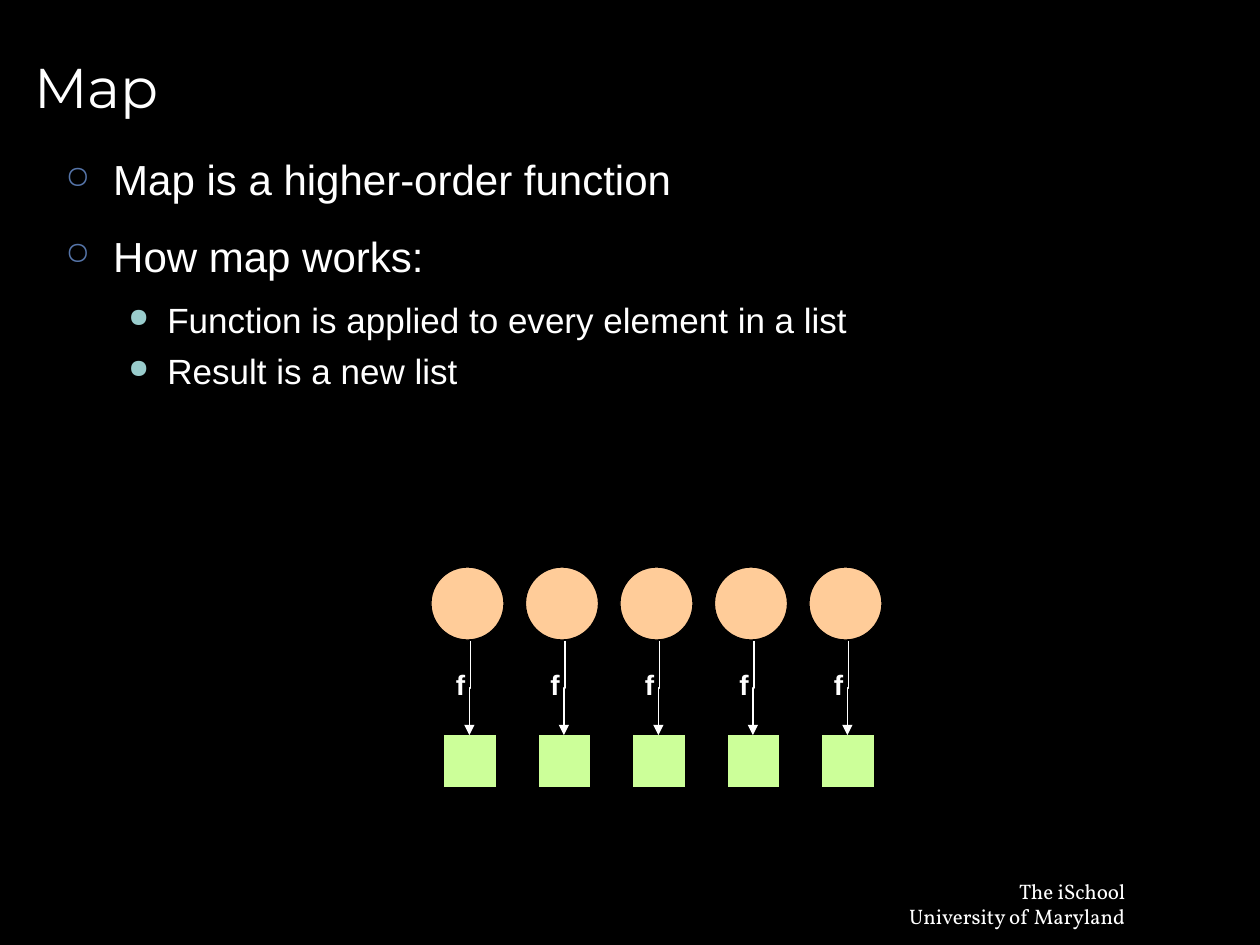
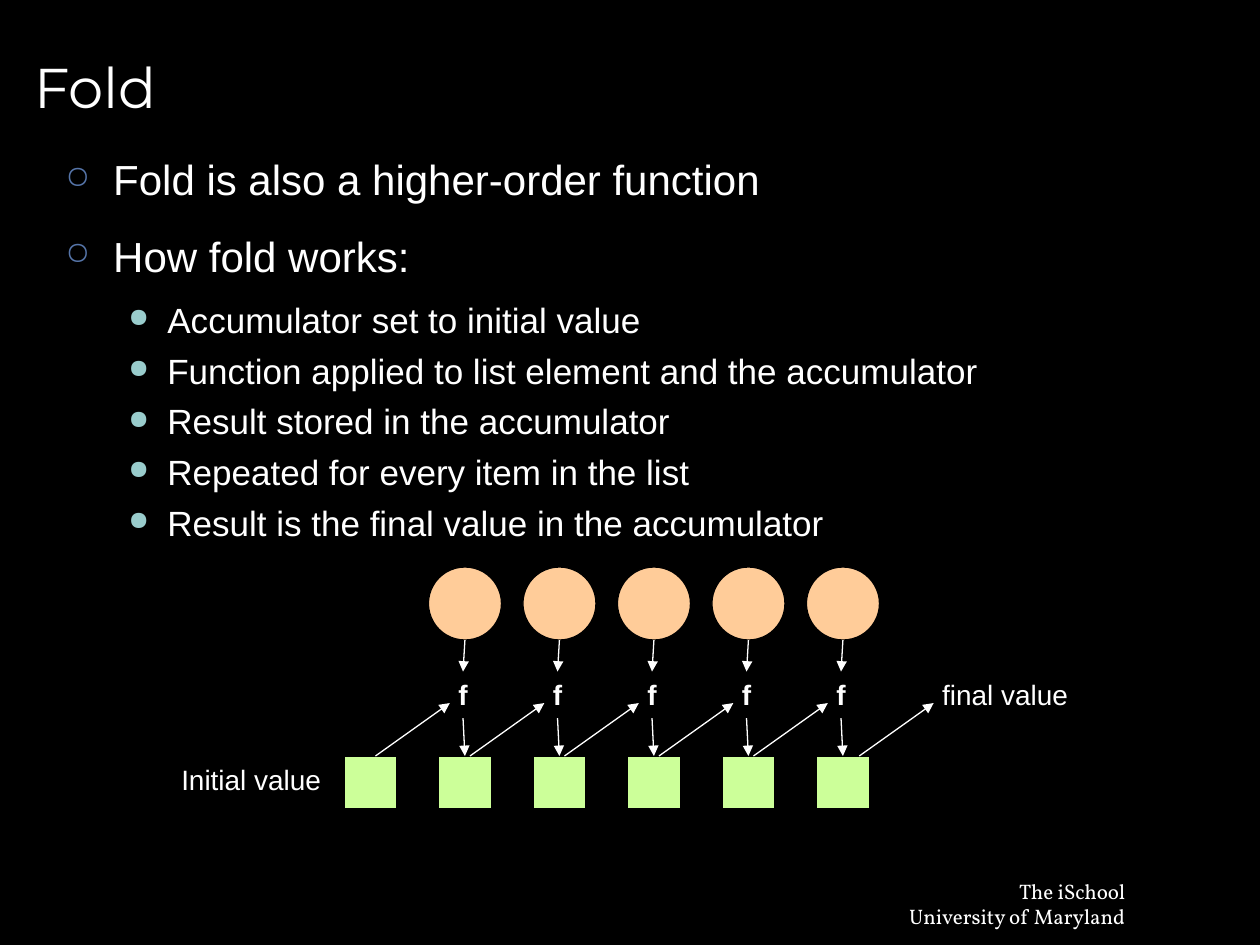
from dataclasses import dataclass

from lxml.etree import SubElement
from pptx import Presentation
from pptx.dml.color import RGBColor
from pptx.enum.shapes import MSO_CONNECTOR as Connector, MSO_SHAPE as Preset
from pptx.enum.text import MSO_ANCHOR as Anchor, MSO_AUTO_SIZE as AutoSize, PP_ALIGN as Align
from pptx.oxml.ns import qn
from pptx.util import Inches, Pt

BLACK = RGBColor(0x00, 0x00, 0x00)
WHITE = RGBColor(0xFF, 0xFF, 0xFF)
PEACH = RGBColor(0xFF, 0xCC, 0x99)
LIME = RGBColor(0xCC, 0xFF, 0x99)
BLUE = RGBColor(0x56, 0x75, 0xA9)
TEAL = RGBColor(0x99, 0xCC, 0xCC)

TITLE_FONT = "Montserrat"
BODY_FONT = "Arial"
FOOTER_FONT = "Vollkorn"

ITEM_COUNT = 5
STEP = 0.75
CIRCLE_TOP = 4.5
CIRCLE_SIZE = 0.58
CIRCLE_BOTTOM = CIRCLE_TOP + CIRCLE_SIZE
SQUARE_SIZE = 0.42
MAP_SQUARE_TOP = 5.83
FOLD_SQUARE_TOP = 6
FOLD_LABEL_TOP = 5.33
LABEL_WIDTH = 0.27
LABEL_HEIGHT = 0.37


@dataclass(frozen=True)
class BulletStyle:
    symbol: str
    color: RGBColor
    size: int
    margin: float
    hanging: float
    spacing: float


@dataclass(frozen=True)
class Bullet:
    text: str
    level: int = 0


BULLET_STYLES = (
    BulletStyle("○", BLUE, 24, 0.38, 0.38, 7.5),
    BulletStyle("●", TEAL, 20, 0.81, 0.31, 2.5),
)

MAP_BULLETS = (
    Bullet("Map is a higher-order function"),
    Bullet("How map works:"),
    Bullet("Function is applied to every element in a list", 1),
    Bullet("Result is a new list", 1),
)

FOLD_BULLETS = (
    Bullet("Fold is also a higher-order function"),
    Bullet("How fold works:"),
    Bullet("Accumulator set to initial value", 1),
    Bullet("Function applied to list element and the accumulator", 1),
    Bullet("Result stored in the accumulator", 1),
    Bullet("Repeated for every item in the list", 1),
    Bullet("Result is the final value in the accumulator", 1),
)


def set_font(paragraph, name: str, size: int, bold: bool = False) -> None:
    font = paragraph.font
    font.name, font.size, font.bold = name, Pt(size), bold
    font.color.rgb = WHITE


def add_text_box(page, left: float, top: float, width: float, height: float):
    return page.shapes.add_textbox(Inches(left), Inches(top), Inches(width), Inches(height))


def add_label(page, text: str, left: float, top: float, width: float, bold: bool = False):
    box = add_text_box(page, left, top, width, LABEL_HEIGHT)
    box.text_frame.word_wrap = False
    box.text_frame.auto_size = AutoSize.SHAPE_TO_FIT_TEXT
    paragraph = box.text_frame.paragraphs[0]
    paragraph.text = text
    set_font(paragraph, BODY_FONT, 16, bold)
    return box


def add_function(page, left: float, top: float):
    return add_label(page, "f", left, top, LABEL_WIDTH, bold=True)


def add_node(page, preset: Preset, left: float, top: float, size: float, fill: RGBColor):
    node = page.shapes.add_shape(preset, Inches(left), Inches(top), Inches(size), Inches(size))
    node.shadow.inherit = False
    node.fill.solid()
    node.fill.fore_color.rgb = fill
    node.line.color.rgb = BLACK
    node.line.width = Pt(0.75)
    return node


def add_circle(page, left: float):
    return add_node(page, Preset.OVAL, left, CIRCLE_TOP, CIRCLE_SIZE, PEACH)


def add_square(page, left: float, top: float):
    return add_node(page, Preset.RECTANGLE, left, top, SQUARE_SIZE, LIME)


def add_arrow(page, start: tuple[float, float], end: tuple[float, float],
              kind: Connector = Connector.STRAIGHT):
    arrow = page.shapes.add_connector(kind, *map(Inches, (*start, *end)))
    arrow.line.color.rgb = WHITE
    arrow.line.width = Pt(0.75)
    properties = arrow._element.spPr
    SubElement(properties.find(qn("a:ln")), qn("a:tailEnd"), type="triangle")
    SubElement(properties, qn("a:effectLst"))
    return arrow


def add_falling_elbow(page, center: float, top: float, bottom: float) -> None:
    middle, half = (top + bottom) / 2, (bottom - top) / 2
    elbow = add_arrow(page, (center - half, middle), (center + half, middle + 0.01),
                      Connector.ELBOW)
    elbow._element.spPr.find(qn("a:xfrm")).set("rot", "5400000")


def add_bullets(page, bullets: tuple[Bullet, ...]) -> None:
    frame = add_text_box(page, 0.42, 1.17, 9.25, 5.58).text_frame
    frame.word_wrap = True
    for index, bullet in enumerate(bullets):
        style = BULLET_STYLES[bullet.level]
        paragraph = frame.add_paragraph() if index else frame.paragraphs[0]
        paragraph.text = bullet.text
        paragraph.level = bullet.level
        properties = paragraph._p.get_or_add_pPr()
        properties.set("marL", str(Inches(style.margin)))
        properties.set("indent", str(-Inches(style.hanging)))
        color = SubElement(properties, qn("a:buClr"))
        SubElement(color, qn("a:srgbClr"), val=str(style.color))
        SubElement(properties, qn("a:buSzPct"), val="75000")
        SubElement(properties, qn("a:buChar"), char=style.symbol)
        paragraph.space_before = Pt(style.spacing if index else 0)
        paragraph.space_after = Pt(style.spacing)
        set_font(paragraph, BODY_FONT, style.size)


def add_footer(page) -> None:
    frame = add_text_box(page, 7.09, 6.92, 1.94, 0.5).text_frame
    frame.word_wrap = False
    frame.auto_size = AutoSize.SHAPE_TO_FIT_TEXT
    frame.text = "The iSchool\nUniversity of Maryland"
    for paragraph in frame.paragraphs:
        paragraph.alignment = Align.RIGHT
        set_font(paragraph, FOOTER_FONT, 12)


def add_page(deck, title: str, bullets: tuple[Bullet, ...]):
    page = deck.slides.add_slide(deck.slide_layouts[5])
    add_footer(page)
    box = page.shapes.title
    box.left, box.top, box.width, box.height = map(Inches, (0.17, 0.12, 9.5, 1.12))
    box.text_frame.vertical_anchor = Anchor.MIDDLE
    paragraph = box.text_frame.paragraphs[0]
    paragraph.text = title
    paragraph.alignment = Align.LEFT
    set_font(paragraph, TITLE_FONT, 32)
    add_bullets(page, bullets)
    return page


def draw_map(page) -> None:
    for index in range(ITEM_COUNT):
        shift = index * STEP
        square_left = 3.52 + shift
        add_square(page, square_left, MAP_SQUARE_TOP)
        add_falling_elbow(page, square_left + SQUARE_SIZE / 2, CIRCLE_BOTTOM, MAP_SQUARE_TOP)
        add_function(page, square_left, 5.25)
        add_circle(page, 3.42 + shift)


def add_rising_arrow(page, left: float) -> None:
    add_arrow(page, (left, FOLD_SQUARE_TOP), (left + 0.59, 5.58))


def draw_fold(page) -> None:
    add_square(page, 2.73, FOLD_SQUARE_TOP)
    add_label(page, "Initial value", 1.34, FOLD_SQUARE_TOP, 1.31)
    for index in range(ITEM_COUNT):
        shift = index * STEP
        circle_center = 3.69 + shift
        label_center = 3.68 + shift
        label_bottom = FOLD_LABEL_TOP + LABEL_HEIGHT
        add_circle(page, 3.4 + shift)
        square = add_square(page, 3.48 + shift, FOLD_SQUARE_TOP)
        function = add_function(page, 3.54 + shift, FOLD_LABEL_TOP)
        add_rising_arrow(page, 2.98 + shift)
        inward = add_arrow(page, (circle_center, CIRCLE_BOTTOM), (label_center, FOLD_LABEL_TOP))
        inward.end_connect(function, 0)
        outward = add_arrow(page, (label_center, label_bottom), (label_center, FOLD_SQUARE_TOP))
        outward.begin_connect(function, 2)
        outward.end_connect(square, 0)
    add_rising_arrow(page, 6.82)
    add_label(page, "final value", 7.38, FOLD_LABEL_TOP, 1.2)


def main() -> None:
    deck = Presentation()
    deck.slide_width, deck.slide_height = Inches(10), Inches(7.5)
    background = deck.slide_master.background.fill
    background.solid()
    background.fore_color.rgb = BLACK
    draw_map(add_page(deck, "Map", MAP_BULLETS))
    draw_fold(add_page(deck, "Fold", FOLD_BULLETS))
    deck.save("out.pptx")


if __name__ == "__main__":
    main()
